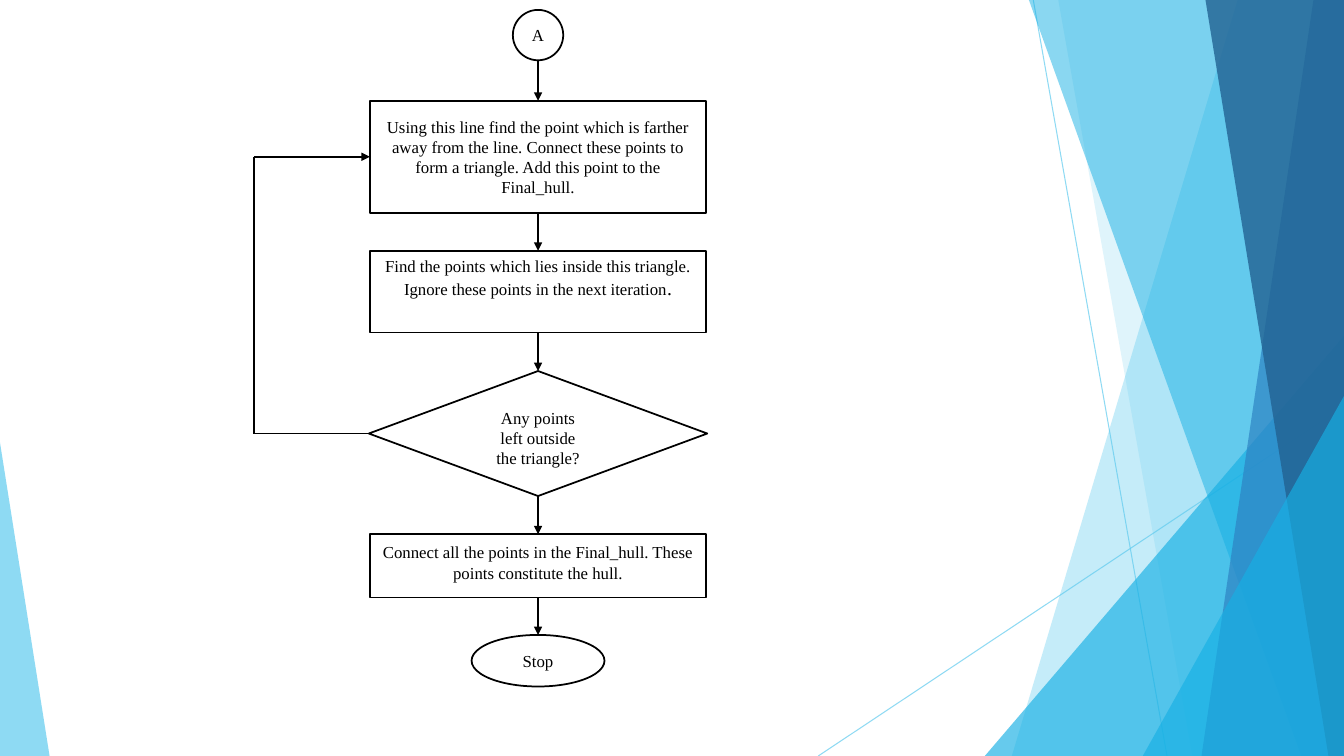
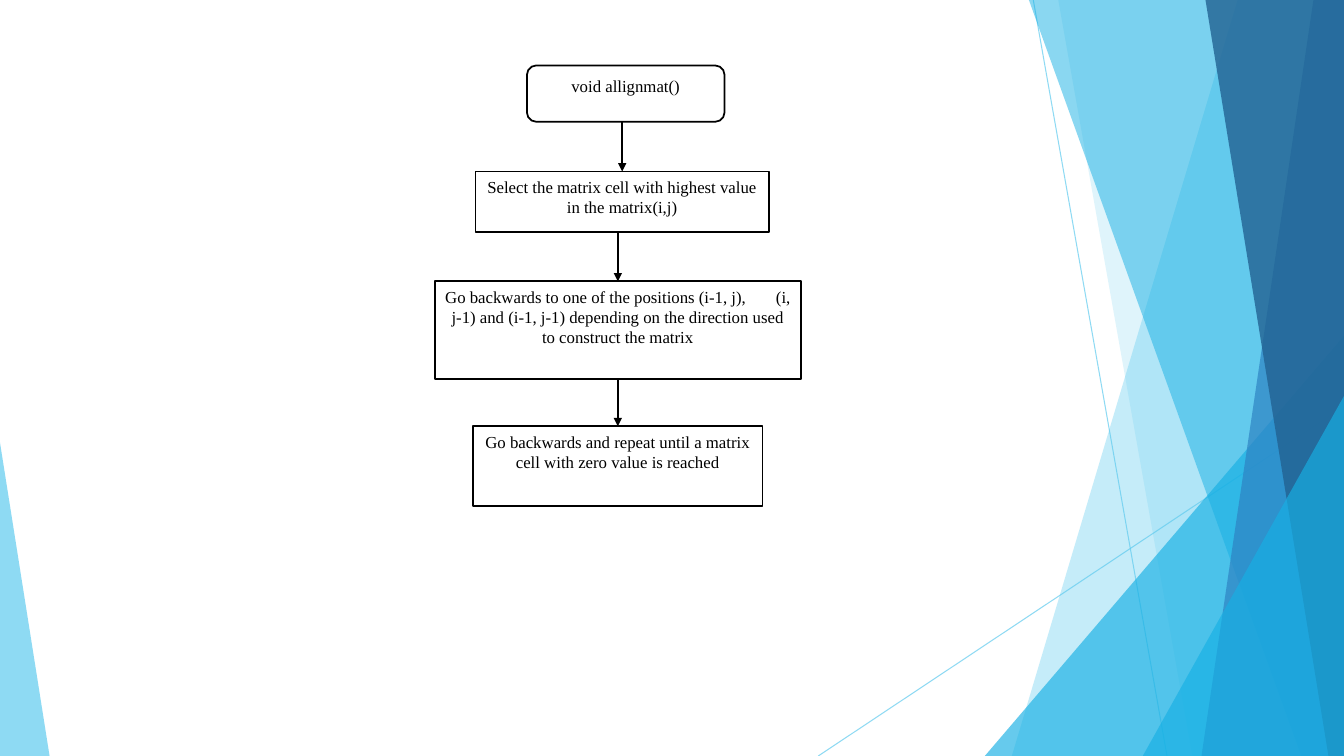
from dataclasses import dataclass

from lxml.etree import SubElement
from pptx import Presentation
from pptx.dml.color import RGBColor
from pptx.enum.shapes import MSO_CONNECTOR, MSO_SHAPE
from pptx.enum.text import MSO_ANCHOR, PP_ALIGN
from pptx.oxml.ns import qn
from pptx.util import Cm, Pt

WIDTH, HEIGHT = 33.87, 19.05
FONT = "Times New Roman"
COLORS = {
    "ink": "000000",
    "paper": "FFFFFF",
    "sky": "5FCBEF",
    "cyan": "17B0E4",
    "blue": "2E83C3",
    "navy": "226292",
}

# Background facets, back to front: kind, two lengths, colour, opacity.
# A wedge runs from its top-left x and bottom-left x to the right edge;
# a triangle runs from its left and top to the bottom-right corner.
FACETS = (
    ("wedge", 31.19, 25.5, "sky", 36),
    ("wedge", 26.67, 30.05, "sky", 20),
    ("triangle", 24.82, 8.46, "cyan", 66),
    ("wedge", 25.93, 32.79, "cyan", 50),
    ("wedge", 33.1, 30.28, "blue", 70),
    ("wedge", 30.38, 33.48, "navy", 80),
    ("triangle", 28.8, 9.98, "cyan", 66),
)


@dataclass
class Step:
    """One flowchart node, placed by its centre line and top edge (cm)."""
    kind: MSO_SHAPE
    center: float
    top: float
    width: float
    height: float
    runs: tuple
    anchor: MSO_ANCHOR = MSO_ANCHOR.TOP
    inset_side: float = 0.25
    inset_top: float = 0.13

    @property
    def left(self):
        return self.center - self.width / 2

    @property
    def bottom(self):
        return self.top + self.height

    @property
    def middle(self):
        return self.top + self.height / 2


def color(name):
    return RGBColor.from_string(COLORS[name])


def add_text(paragraph, text, size=12, name="ink", tracking=0):
    run = paragraph.add_run()
    run.text = text
    run.font.name = FONT
    run.font.size = Pt(size)
    run.font.color.rgb = color(name)
    if tracking:
        run.font._element.set("spc", str(tracking * 100))


def set_opacity(shape, percent):
    for node in list(shape._element.spPr.iter(qn("a:srgbClr"))):
        SubElement(node, qn("a:alpha")).set("val", str(percent * 1000))


class FlowDeck:
    def __init__(self):
        self.presentation = Presentation()
        self.presentation.slide_width = Cm(WIDTH)
        self.presentation.slide_height = Cm(HEIGHT)
        self.slide = None

    def new_slide(self):
        layout = self.presentation.slide_layouts[6]
        self.slide = self.presentation.slides.add_slide(layout)
        self.background()

    # Background
    def background(self):
        self.line((26.04, 0), (29.41, HEIGHT), "sky", 0.75, opacity=70)
        self.line((WIDTH, 10.24), (20.62, HEIGHT), "sky", 0.75, opacity=70)
        for kind, first, second, name, opacity in FACETS:
            if kind == "wedge":
                self.wedge(first, second, name, opacity)
            else:
                self.triangle(first, second, WIDTH - first, HEIGHT - second, name, opacity, 1)
        self.triangle(0, 11.15, 1.25, 7.9, "sky", 70, 0)

    def paint_facet(self, shape, name, opacity):
        shape.shadow.inherit = False
        shape.fill.solid()
        shape.fill.fore_color.rgb = color(name)
        shape.line.fill.background()
        set_opacity(shape, opacity)

    def wedge(self, top_x, bottom_x, name, opacity):
        builder = self.slide.shapes.build_freeform(Cm(top_x), 0)
        corners = ((WIDTH, 0), (WIDTH, HEIGHT), (bottom_x, HEIGHT))
        builder.add_line_segments([(Cm(x), Cm(y)) for x, y in corners], close=True)
        self.paint_facet(builder.convert_to_shape(), name, opacity)

    def triangle(self, left, top, width, height, name, opacity, apex):
        shape = self.slide.shapes.add_shape(
            MSO_SHAPE.ISOSCELES_TRIANGLE, Cm(left), Cm(top), Cm(width), Cm(height))
        shape.adjustments[0] = apex
        self.paint_facet(shape, name, opacity)

    # Flowchart
    def line(self, start, end, name="ink", weight=1.25, arrow=False, opacity=None):
        connector = self.slide.shapes.add_connector(
            MSO_CONNECTOR.STRAIGHT, *(Cm(value) for value in (*start, *end)))
        connector.line.color.rgb = color(name)
        connector.line.width = Pt(weight)
        if opacity is not None:
            set_opacity(connector, opacity)
        if arrow:
            SubElement(connector.line._get_or_add_ln(), qn("a:tailEnd")).set("type", "triangle")
        SubElement(connector._element.spPr, qn("a:effectLst"))

    def node(self, step):
        shape = self.slide.shapes.add_shape(
            step.kind, Cm(step.left), Cm(step.top), Cm(step.width), Cm(step.height))
        shape.shadow.inherit = False
        shape.fill.solid()
        shape.fill.fore_color.rgb = color("paper")
        shape.line.color.rgb = color("ink")
        shape.line.width = Pt(1.25)
        frame = shape.text_frame
        frame.word_wrap = True
        frame.vertical_anchor = step.anchor
        frame.margin_left = frame.margin_right = Cm(step.inset_side)
        frame.margin_top = Cm(step.inset_top)
        paragraph = frame.paragraphs[0]
        paragraph.alignment = PP_ALIGN.CENTER
        for text, text_format in step.runs:
            add_text(paragraph, text, **text_format)

    def flow(self, steps, weight):
        for step in steps:
            self.node(step)
        for above, below in zip(steps, steps[1:]):
            self.line((below.center, above.bottom), (below.center, below.top),
                      weight=weight, arrow=True)

    def loop_back(self, source, target, left):
        lower, upper = (left, source.middle), (left, target.middle)
        self.line((source.left, source.middle), lower)
        self.line(lower, upper)
        self.line(upper, (target.left, target.middle), arrow=True)


def plain(text):
    return ((text, {}),)


def build_hull_slide(deck):
    deck.new_slide()
    center, box_width = 13.56, 8.48
    process, centred = MSO_SHAPE.FLOWCHART_PROCESS, MSO_ANCHOR.MIDDLE
    entry = Step(MSO_SHAPE.FLOWCHART_CONNECTOR, center, 0.25, 1.27, 1.27, plain("A"), centred)
    farthest = Step(process, center, 2.54, box_width, 2.82, plain(
        "Using this line find the point which is farther away from the line. Connect "
        "these points to form a triangle. Add this point to the Final_hull."), centred)
    inside = Step(process, center, 6.32, box_width, 2.06, (
        ("Find the points which lies inside this triangle. "
         "Ignore these points in the next iteration", {}),
        (".", {"size": 14})))
    decision = Step(MSO_SHAPE.FLOWCHART_DECISION, center, 9.35, 8.53, 3.15,
                    plain("Any points left outside the triangle?"), inset_side=1)
    connect = Step(process, center, 13.46, box_width, 1.6, plain(
        "Connect all the points in the Final_hull. These points constitute the hull."),
        inset_top=0.2)
    stop = Step(MSO_SHAPE.OVAL, center, 16, 3.35, 1.3, plain("Stop"), centred)
    deck.flow((entry, farthest, inside, decision, connect, stop), weight=1)
    deck.loop_back(decision, farthest, left=6.4)


def build_alignment_slide(deck):
    deck.new_slide()
    box = MSO_SHAPE.RECTANGLE
    deck.flow((
        Step(MSO_SHAPE.ROUNDED_RECTANGLE, 15.77, 1.65, 4.98, 1.42,
             plain("void allignmat()"), inset_top=0.2),
        Step(box, 15.68, 4.32, 7.39, 1.52,
             plain("Select the matrix cell with highest value in the matrix(i,j)")),
        Step(box, 15.57, 7.09, 9.22, 2.46, (
            ("Go backwards to one of the positions (i-1, j),", {}),
            (" ", {"tracking": 18}),
            ("(i, j-1) and (i-1, j-1) depending on the direction used "
             "to construct the matrix", {}))),
        Step(box, 15.57, 10.74, 7.29, 2.01,
             plain("Go backwards and repeat until a matrix cell with zero value is reached")),
    ), weight=1.25)


def main():
    deck = FlowDeck()
    build_hull_slide(deck)
    build_alignment_slide(deck)
    deck.presentation.save("out.pptx")


if __name__ == "__main__":
    main()
